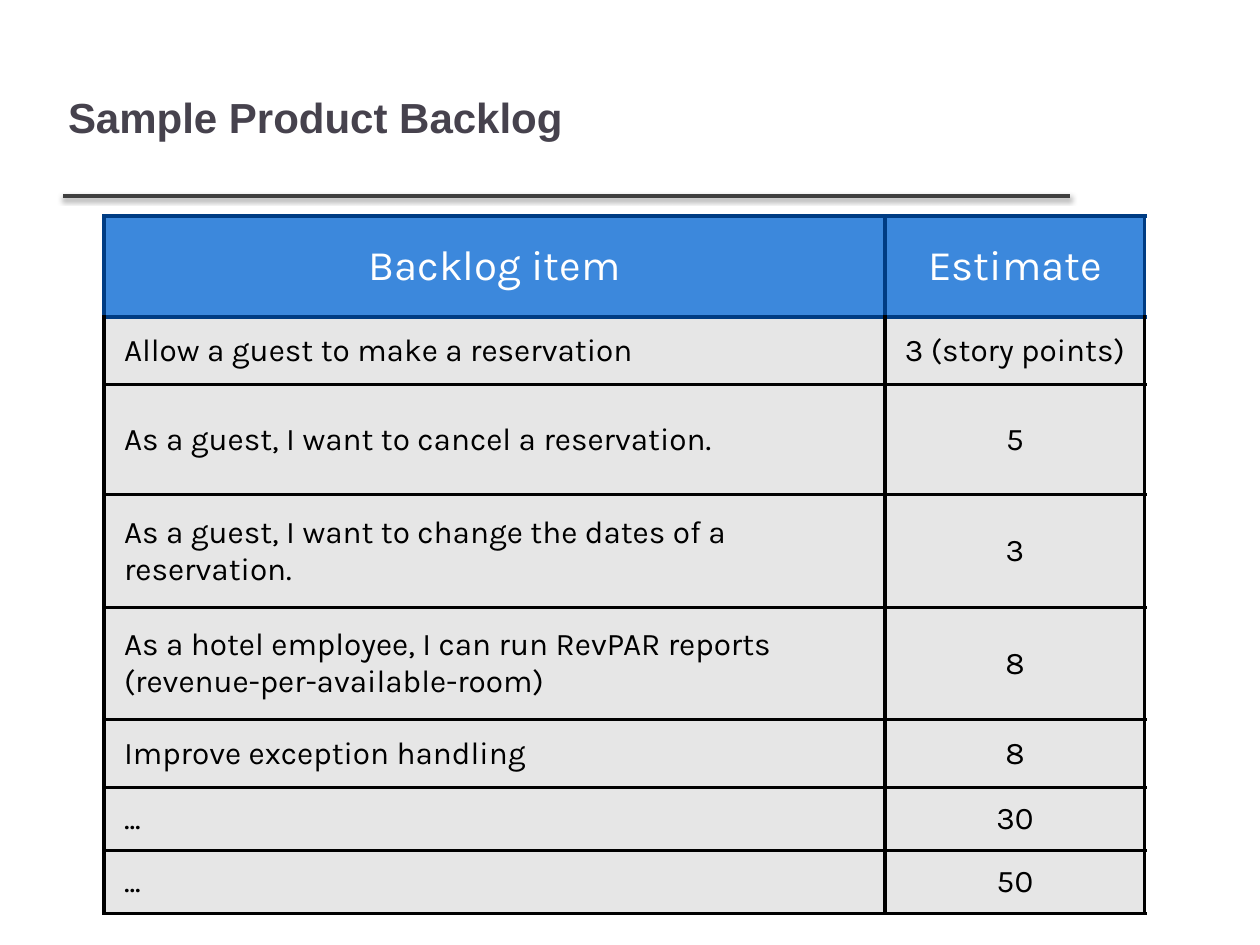
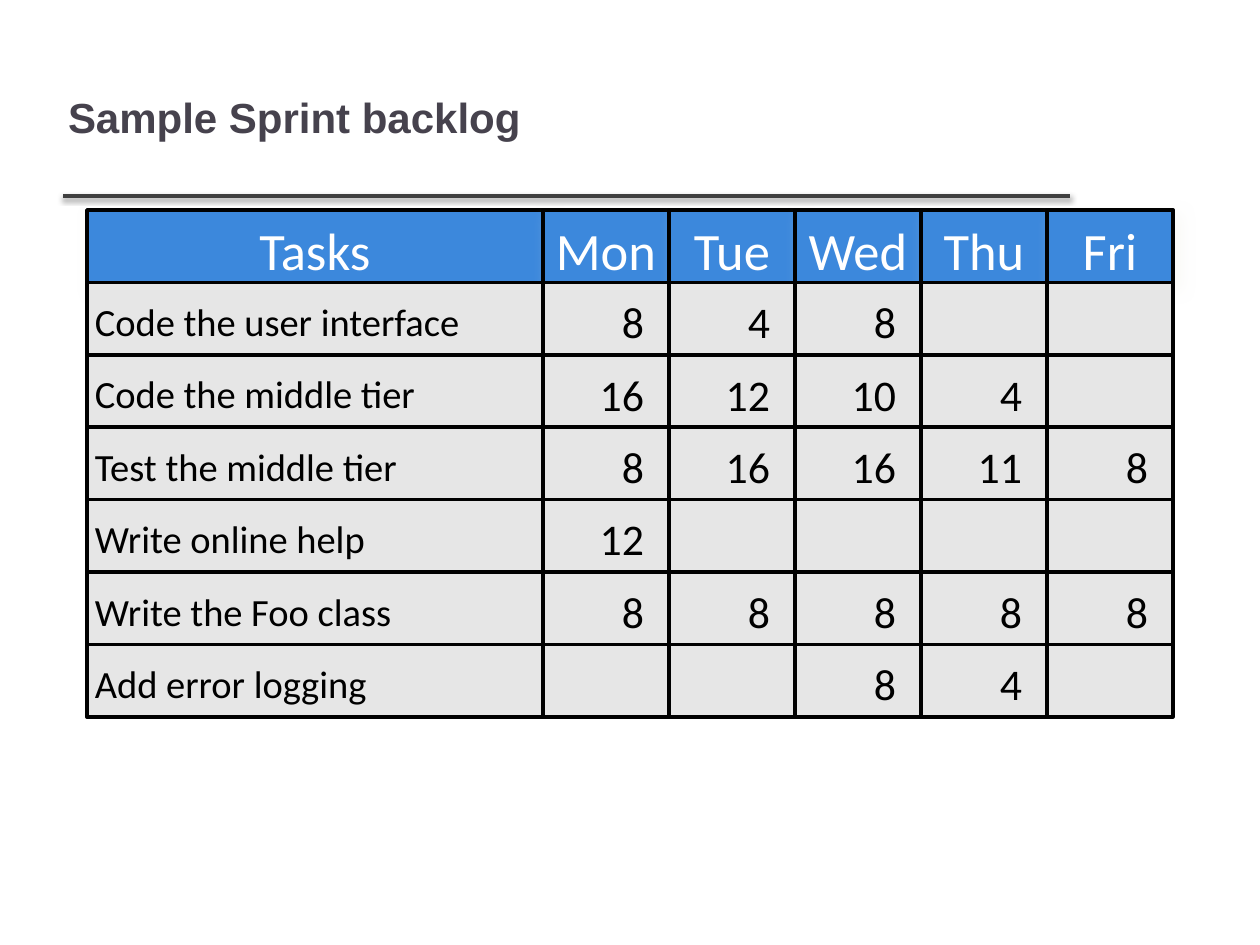
from itertools import accumulate

from lxml import etree
from pptx import Presentation
from pptx.dml.color import RGBColor
from pptx.enum.shapes import MSO_CONNECTOR, MSO_SHAPE
from pptx.enum.text import MSO_ANCHOR, MSO_AUTO_SIZE, PP_ALIGN
from pptx.oxml import parse_xml
from pptx.oxml.ns import nsdecls, qn
from pptx.util import Pt

PX = 914400 / 126  # EMU in one px
COLORS = {"title": "46424D", "rule": "404040", "header": "3C88DC", "header_edge": "003C83",
          "body": "E6E6E6", "ink": "000000", "white": "FFFFFF", "glow": "EEECE1"}
LEFT, CENTER, RIGHT = PP_ALIGN.LEFT, PP_ALIGN.CENTER, PP_ALIGN.RIGHT

PRODUCT_BACKLOG = {
    "title": "Sample Product Backlog",
    "at": (104, 216), "cols": [781, 260], "rows": [101, 68, 110, 113, 112, 68, 63, 63],
    "header": dict(font="Karla", size=24, color="white", align=CENTER),
    "first": dict(font="Karla", size=18, margins=(20, 5, 5, 5)),
    "other": dict(font="Karla", size=18, align=CENTER),
    "cells": [
        ("Backlog item", "Estimate"),
        ("Allow a guest to make a reservation", "3 (story points)"),
        ("As a guest, I want to cancel a reservation.", "5"),
        ("As a guest, I want to change the dates of a reservation.", "3"),
        ("As a hotel employee, I can run RevPAR reports (revenue-per-available-room)", "8"),
        ("Improve exception handling", "8"),
        ("...", "30"),
        ("...", "50"),
    ],
}
SPRINT_BACKLOG = {
    "title": "Sample Sprint backlog",
    "at": (87, 210), "cols": [456] + [126] * 5, "rows": [507 / 7] * 7,
    "header": dict(font="Calibri", size=30, color="white", align=CENTER, margins=(0, 6, 0, 0)),
    "first": dict(font="Calibri", size=22, margins=(8, 10, 8, 5)),
    "other": dict(font="Calibri", size=25, align=RIGHT, margins=(8, 10, 25, 5)),
    "cells": [
        ("Tasks", "Mon", "Tue", "Wed", "Thu", "Fri"),
        ("Code the user interface", "8", "4", "8", "", ""),
        ("Code the middle tier", "16", "12", "10", "4", ""),
        ("Test the middle tier", "8", "16", "16", "11", "8"),
        ("Write online help", "12", "", "", "", ""),
        ("Write the Foo class", "8", "8", "8", "8", "8"),
        ("Add error logging", "", "", "8", "4", ""),
    ],
}


def px(n):
    return round(n * PX)


def rgb(name):
    return RGBColor.from_string(COLORS[name])


def write(box, text, font, size, color="ink", bold=False, align=LEFT, margins=(5, 5, 5, 5)):
    """Fill a text frame or table cell; margins are left, top, right, bottom."""
    box.margin_left, box.margin_top, box.margin_right, box.margin_bottom = map(px, margins)
    box.vertical_anchor = MSO_ANCHOR.MIDDLE
    tf = getattr(box, "text_frame", box)
    p = tf.paragraphs[0]
    p.alignment = align
    p.font.size = Pt(size)
    if text:
        r = p.add_run()
        r.text = text
        r.font.name, r.font.size, r.font.bold = font, Pt(size), bold
        r.font.color.rgb = rgb(color)


def paint(sp, fill, edge="ink"):
    sp.fill.solid()
    sp.fill.fore_color.rgb = rgb(fill)
    sp.line.color.rgb = rgb(edge)
    sp.line.width = Pt(2)


def add_shadow(sp, color, alpha, blur, dist, angle):
    spPr = sp._element.spPr
    for old in spPr.findall(qn("a:effectLst")):
        spPr.remove(old)
    spPr.append(parse_xml(
        f'<a:effectLst {nsdecls("a")}><a:outerShdw blurRad="{Pt(blur)}" dist="{Pt(dist)}" '
        f'dir="{angle * 60000}" rotWithShape="0"><a:srgbClr val="{COLORS[color]}">'
        f'<a:alpha val="{alpha * 1000}"/></a:srgbClr></a:outerShdw></a:effectLst>'))


def add_titled_slide(prs, title):
    slide = prs.slides.add_slide(prs.slide_layouts[5])
    sp = slide.shapes.title
    sp.left, sp.top, sp.width, sp.height = px(63), px(38), px(1006), px(157)
    sp.text_frame.word_wrap = True
    sp.text_frame.auto_size = MSO_AUTO_SIZE.NONE
    write(sp.text_frame, title, "Arial", 24, color="title", bold=True)
    rule = slide.shapes.add_connector(MSO_CONNECTOR.STRAIGHT, px(63), px(196), px(1070), px(196))
    rule.line.color.rgb = rgb("rule")
    rule.line.width = Pt(2)
    add_shadow(rule, "ink", alpha=38, blur=3.1, dist=1.6, angle=90)
    return slide


def cell_kind(row, col):
    return "header" if row == 0 else "first" if col == 0 else "other"


def set_borders(cell, edge, top):
    tcPr = cell._tc.get_or_add_tcPr()
    for side in "LRTB":
        ln = etree.SubElement(tcPr, qn(f"a:ln{side}"), w=str(Pt(2)))
        fill = etree.SubElement(ln, qn("a:solidFill"))
        etree.SubElement(fill, qn("a:srgbClr"), val=COLORS[top if side == "T" else edge])


def add_backlog_table(slide, at, cols, rows, cells, **styles):
    table = slide.shapes.add_table(len(rows), len(cols), *map(px, at),
                                   px(sum(cols)), px(sum(rows))).table
    table.horz_banding = False
    for col, width in zip(table.columns, cols):
        col.width = px(width)
    for i, (row, height) in enumerate(zip(table.rows, rows)):
        row.height = px(height)
        for j, cell in enumerate(row.cells):
            set_borders(cell, edge="ink" if i else "header_edge",
                        top="ink" if i > 1 else "header_edge")
            cell.fill.solid()
            cell.fill.fore_color.rgb = rgb("body" if i else "header")
            write(cell, cells[i][j], **styles[cell_kind(i, j)])


def add_task_board(slide, at, cols, rows, cells, **styles):
    """Draw the cells as one group of bordered rectangles."""
    board = slide.shapes.add_group_shape()
    lefts = list(accumulate(cols, initial=at[0]))
    tops = list(accumulate(rows, initial=at[1]))
    for i, texts in enumerate(cells):
        for j, text in enumerate(texts):
            sp = board.shapes.add_shape(MSO_SHAPE.RECTANGLE, px(lefts[j]), px(tops[i]),
                                        px(cols[j]), px(rows[i]))
            sp.shadow.inherit = False
            paint(sp, "body" if i else "header")
            if i == 0:
                add_shadow(sp, "glow", alpha=30, blur=9, dist=5, angle=45)
            sp.text_frame.word_wrap = True
            write(sp.text_frame, text, **styles[cell_kind(i, j)])


def main():
    prs = Presentation()
    prs.slide_width, prs.slide_height = px(1260), px(945)
    for add_grid, backlog in ((add_backlog_table, PRODUCT_BACKLOG),
                              (add_task_board, SPRINT_BACKLOG)):
        content = dict(backlog)
        slide = add_titled_slide(prs, content.pop("title"))
        add_grid(slide, **content)
    prs.save("out.pptx")


if __name__ == "__main__":
    main()
